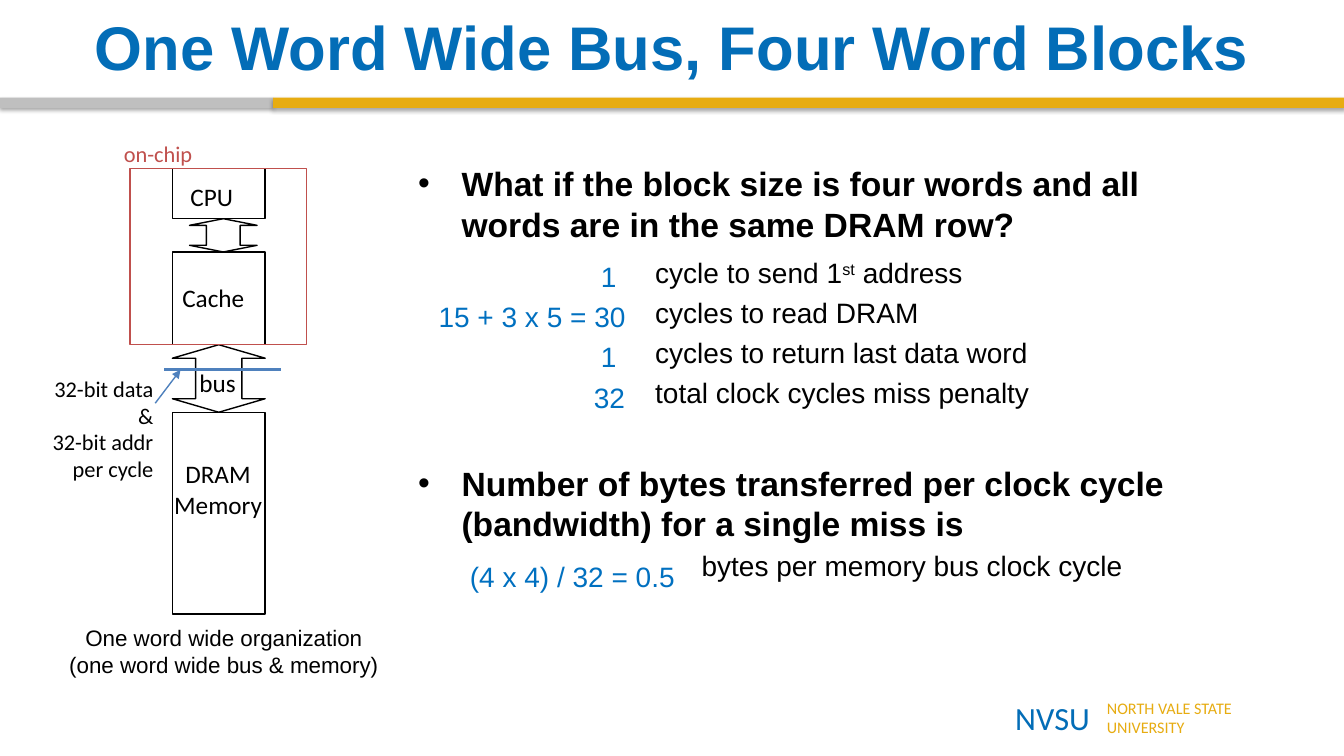
from lxml import etree
from pptx import Presentation
from pptx.dml.color import RGBColor
from pptx.enum import shapes, text
from pptx.oxml import parse_xml
from pptx.oxml.ns import nsdecls, qn
from pptx.util import Inches, Pt

BLACK = RGBColor(0x00, 0x00, 0x00)
TITLE_BLUE = RGBColor(0x03, 0x6D, 0xB7)
ANSWER_BLUE = RGBColor(0x00, 0x70, 0xC0)
BUS_BLUE = RGBColor(0x4F, 0x81, 0xBD)
CHIP_RED = RGBColor(0xC0, 0x50, 0x4D)
GOLD = RGBColor(0xE7, 0xAC, 0x11)
GRAY = RGBColor(0xBF, 0xBF, 0xBF)
LEFT, CENTER, RIGHT = text.PP_ALIGN.LEFT, text.PP_ALIGN.CENTER, text.PP_ALIGN.RIGHT
RECT, ARROW = shapes.MSO_SHAPE.RECTANGLE, shapes.MSO_SHAPE.UP_DOWN_ARROW

deck = Presentation()
deck.slide_width, deck.slide_height = Inches(13.33), Inches(7.5)
slide = deck.slides.add_slide(deck.slide_layouts[6])


def write(box, lines, size=18, font="Calibri", color=BLACK, bold=False, align=LEFT,
          wrap=True, inset=(0.1, 0.05), anchor=text.MSO_ANCHOR.TOP,
          before=0, indent=0, spacing=None):
    frame = slide.shapes.add_textbox(*map(Inches, box)).text_frame
    frame.word_wrap = wrap
    frame.vertical_anchor = anchor
    frame.margin_left = frame.margin_right = Inches(inset[0])
    frame.margin_top = frame.margin_bottom = Inches(inset[1])
    for number, line in enumerate(lines):
        style = dict(size=size, bold=bold, before=before, indent=indent, bullet=False)
        if isinstance(line, tuple):
            line, changes = line
            style.update(changes)
        paragraph = frame.add_paragraph() if number else frame.paragraphs[0]
        paragraph.alignment = align
        paragraph.space_before = Pt(style["before"])
        if spacing:
            paragraph.line_spacing = spacing
        properties = paragraph._p.get_or_add_pPr()
        properties.set("marL", str(Inches(style["indent"])))
        if style["bullet"]:
            properties.set("indent", str(-Inches(style["indent"])))
            etree.SubElement(properties, qn("a:buFont"), typeface="Arial")
            etree.SubElement(properties, qn("a:buChar"), char="•")
        for position, part in enumerate(line.split("^")):
            run = paragraph.add_run()
            run.text = part
            run.font.size, run.font.name = Pt(style["size"]), font
            run.font.bold, run.font.color.rgb = style["bold"], color
            if position % 2:
                run.font._element.set("baseline", "30000")


def draw(kind, box, line=None, fill=None):
    shape = slide.shapes.add_shape(kind, *map(Inches, box))
    shape.shadow.inherit = False
    if fill is None:
        shape.fill.background()
    else:
        shape.fill.solid()
        shape.fill.fore_color.rgb = fill
    if line is None:
        shape.line.fill.background()
    else:
        shape.line.color.rgb = line
        shape.line.width = Pt(1)
    return shape


write((9.97, 6.88, 0.95, 0.49), ["NVSU"], size=23.1, color=TITLE_BLUE, wrap=False)
write((10.88, 6.88, 1.6, 0.49), ["NORTH VALE STATE", "UNIVERSITY"],
      size=11.5, color=GOLD, wrap=False)

for left, width, color in ((0, 2.71, GRAY), (2.71, 10.62, GOLD)):
    band = draw(RECT, (left, 0.97, width, 0.1), fill=color)
    band._element.spPr.find(qn("a:effectLst")).append(parse_xml(
        f'<a:outerShdw {nsdecls("a")} blurRad="{Pt(3.1)}" dist="{Pt(1.8)}" dir="5400000">'
        '<a:srgbClr val="000000"><a:alpha val="35000"/></a:srgbClr></a:outerShdw>'))

heading = dict(size=24, bold=True, indent=0.43, bullet=True)
write((4.05, 1.57, 8.17, 4.71), [
    ("What if the block size is four words and all words are in the same DRAM row?",
     dict(heading, before=4.8)),
    ("cycle to send 1^st^ address", dict(before=8.5)),
    "cycles to read DRAM",
    "cycles to return last data word",
    "total clock cycles miss penalty",
    ("Number of bytes transferred per clock cycle (bandwidth) for a single miss is",
     dict(heading, before=38.2)),
    ("bytes per memory bus clock cycle", dict(indent=2.81, before=3.5)),
], size=20, font="Arial", before=4.6, indent=2.35)

answer = dict(size=20, font="Arial", color=ANSWER_BLUE, inset=(0.07, 0.03))
write((3.97, 2.54, 2.83, 1.61), [
    ("1", dict(indent=1.92)),
    ("15 + 3 x 5 = 30", dict(indent=0.31)),
    ("1", dict(indent=1.92)),
    ("32", dict(indent=1.85)),
], before=4.8, **answer)
write((4.05, 5.57, 3.08, 0.34), ["(4 x 4) / 32 = 0.5"],
      before=8, indent=0.54, spacing=0.85, **answer)

for top, height in ((1.67, 0.5), (2.5, 0.92), (4.09, 2)):
    draw(RECT, (1.71, top, 0.92, height), line=BLACK)
for box in ((1.88, 2.17, 0.67, 0.33), (1.71, 3.42, 0.92, 0.67)):
    guides = draw(ARROW, box, line=BLACK)._element.spPr.prstGeom.get_or_add_avLst()
    for guide in list(guides):
        guides.remove(guide)
    for guide_name, value in (("adj1", 50000), ("adj2", 20000)):
        etree.SubElement(guides, qn("a:gd"), name=guide_name, fmla=f"val {value}")

write((1.79, 1.75, 0.85, 0.4), ["CPU"])
write((1.71, 2.75, 1, 0.4), ["Cache"])
write((1.63, 4.5, 1.17, 0.71), [("DRAM", dict(indent=0.11)), "Memory"])
write((1.88, 3.59, 0.75, 0.4), ["bus"])

draw(RECT, (1.29, 1.67, 1.75, 1.75), line=CHIP_RED)
write((1.13, 1.34, 0.89, 0.37), ["on-chip"], size=16, color=CHIP_RED, wrap=False)
write((0.46, 6.14, 3.52, 0.64),
      ["One word wide organization", "(one word wide bus & memory)"],
      size=16, font="Arial", align=CENTER)
write((0.29, 3.67, 1.33, 1.17), ["32-bit data", "&", "32-bit addr", "per cycle"],
      size=16, align=RIGHT)

for ends, width, head in (((1.63, 3.67, 2.79, 3.67), 2.25, False),
                          ((1.54, 4, 1.79, 3.67), 1, True)):
    stroke = slide.shapes.add_connector(shapes.MSO_CONNECTOR.STRAIGHT, *map(Inches, ends))
    stroke.line.color.rgb = BUS_BLUE
    stroke.line.width = Pt(width)
    if head:
        etree.SubElement(stroke.line._get_or_add_ln(), qn("a:tailEnd"), type="triangle")
    etree.SubElement(stroke._element.spPr, qn("a:effectLst"))

write((0.67, 0.08, 12, 0.76), ["One Word Wide Bus, Four Word Blocks"], size=44,
      font="Arial", color=TITLE_BLUE, bold=True, align=CENTER,
      anchor=text.MSO_ANCHOR.MIDDLE)

deck.save("out.pptx")
